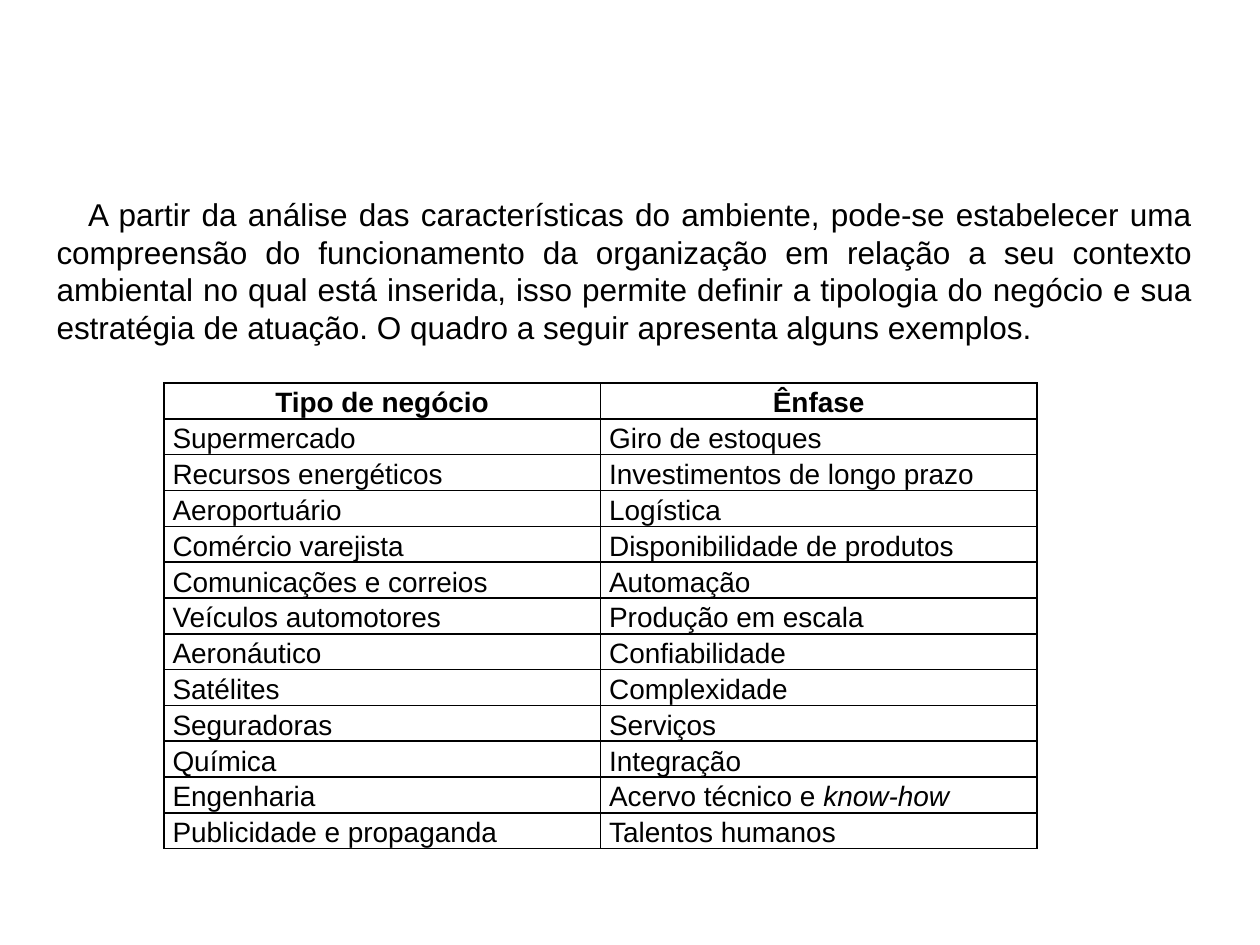
from lxml.etree import SubElement
from pptx import Presentation
from pptx.dml.color import RGBColor
from pptx.enum.text import MSO_ANCHOR, PP_ALIGN as Align
from pptx.oxml.ns import qn
from pptx.util import Inches, Pt

COLORS = {"text": "000000", "border": "000000"}
FONT = "Arial"
INTRO = (
    "A partir da análise das características do ambiente, pode-se estabelecer uma "
    "compreensão do funcionamento da organização em relação a seu contexto ambiental "
    "no qual está inserida, isso permite definir a tipologia do negócio e sua "
    "estratégia de atuação. O quadro a seguir apresenta alguns exemplos."
)
# Each row holds the business type, its emphasis and an optional italic ending.
ROWS = [
    ("Tipo de negócio", "Ênfase"),
    ("Supermercado", "Giro de estoques"),
    ("Recursos energéticos", "Investimentos de longo prazo"),
    ("Aeroportuário", "Logística"),
    ("Comércio varejista", "Disponibilidade de produtos"),
    ("Comunicações e correios", "Automação"),
    ("Veículos automotores", "Produção em escala"),
    ("Aeronáutico", "Confiabilidade"),
    ("Satélites", "Complexidade"),
    ("Seguradoras", "Serviços"),
    ("Química", "Integração"),
    ("Engenharia", "Acervo técnico e ", "know-how"),
    ("Publicidade e propaganda", "Talentos humanos"),
]


def set_attrs(obj, values):
    """Set each attribute of obj from a dict."""
    for name, value in values.items():
        setattr(obj, name, value)


def add_run(p, text, size, **style):
    """Append a formatted run to a paragraph."""
    r = p.add_run()
    r.text = text
    set_attrs(r.font, {"name": FONT, "size": Pt(size), **style})
    r.font.color.rgb = RGBColor.from_string(COLORS["text"])


def add_borders(cell):
    """Draw a 1 pt line on all four sides of a cell."""
    tc_pr = cell._tc.get_or_add_tcPr()
    for i, side in enumerate("LRTB"):
        ln = SubElement(tc_pr, qn(f"a:ln{side}"), w=str(Pt(1)))
        SubElement(SubElement(ln, qn("a:solidFill")), qn("a:srgbClr"), val=COLORS["border"])
        tc_pr.insert(i, ln)


def add_intro(slide, left, top, width, height):
    """Place the justified opening paragraph."""
    tf = slide.shapes.add_textbox(left, top, width, height).text_frame
    set_attrs(tf, {"word_wrap": True, "vertical_anchor": MSO_ANCHOR.MIDDLE})
    p = tf.paragraphs[0]
    p.alignment = Align.JUSTIFY
    p._p.get_or_add_pPr().set("indent", str(Inches(0.25)))
    add_run(p, INTRO, 18)


def fill_cell(cell, texts, header):
    """Format a cell and write its text, with anything after the first run in italics."""
    cell.fill.background()
    add_borders(cell)
    set_attrs(cell, {"margin_left": Inches(0.07), "margin_right": Inches(0.07),
                     "margin_top": 0, "margin_bottom": 0})
    p = cell.text_frame.paragraphs[0]
    set_attrs(p, {"alignment": Align.CENTER if header else Align.JUSTIFY,
                  "line_spacing": 1.15})
    for i, text in enumerate(texts):
        add_run(p, text, 16, bold=header, italic=i > 0)


def add_business_table(slide, left, top, width, row_height):
    """Place the table of business types and their emphasis."""
    table = slide.shapes.add_table(
        len(ROWS), 2, left, top, width, row_height * len(ROWS)).table
    set_attrs(table, {"first_row": False, "horz_banding": False})
    for i, (kind, *emphasis) in enumerate(ROWS):
        for j, texts in enumerate(([kind], emphasis)):
            fill_cell(table.cell(i, j), texts, header=i == 0)


def main():
    """Build and save the slide."""
    prs = Presentation()
    set_attrs(prs, {"slide_width": Inches(10), "slide_height": Inches(7.5)})
    slide = prs.slides.add_slide(prs.slide_layouts[6])
    add_business_table(slide, Inches(1.3), Inches(3.04), Inches(6.93), Inches(0.28))
    add_intro(slide, Inches(0.35), Inches(1.49), Inches(9.21), Inches(1.31))
    prs.save("out.pptx")


main()
